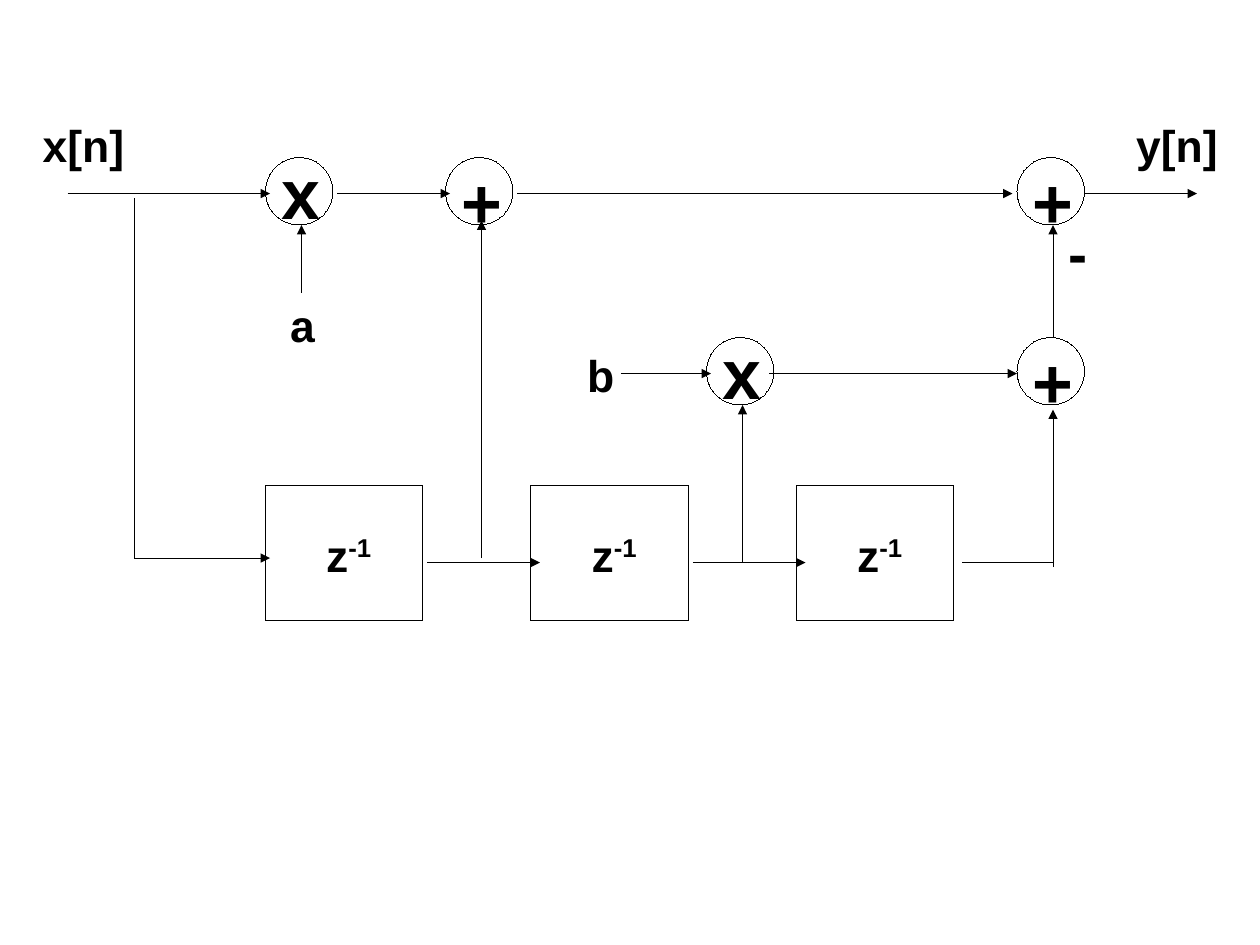
import dataclasses

import lxml.etree
import pptx
import pptx.dml.color
import pptx.enum.shapes
import pptx.enum.text
import pptx.oxml.ns
import pptx.util

PX = 36000
SHAPES = pptx.enum.shapes.MSO_SHAPE


@dataclasses.dataclass(frozen=True)
class Theme:
    ink: pptx.dml.color.RGBColor = pptx.dml.color.RGBColor(0, 0, 0)
    paper: pptx.dml.color.RGBColor = pptx.dml.color.RGBColor(255, 255, 255)
    font: str = "Arial"
    label_size: int = 28
    minus_size: int = 36
    operator_size: int = 44
    hairline: int = 0


THEME = Theme()
DELAY_LEFT, DELAY_STEP, DELAY_TOP = 59, 59, 108
DELAY_WIDTH, DELAY_HEIGHT = 35, 30
NODE_SIZE = 15
OPERATOR_RISE = {"+": 1, "x": 3}

OPERATORS = [
    ("x", 59, 35),
    ("+", 99, 35),
    ("+", 226, 35),
    ("x", 157, 75),
    ("+", 226, 75),
]
LABELS = [
    ("x[n]", 7, 25, 28),
    ("y[n]", 250, 25, 28),
    ("a", 62, 65, 20),
    ("b", 128, 76, 20),
]
ARROWS = [
    (15, 43, 60, 43),
    (75, 43, 100, 43),
    (115, 43, 225, 43),
    (241, 43, 266, 43),
    (67, 65, 67, 50),
    (107, 124, 107, 49),
    (138, 83, 158, 83),
    (171, 83, 226, 83),
    (165, 125, 165, 90),
    (234, 75, 234, 50),
    (234, 126, 234, 91),
    (30, 124, 60, 124),
    (95, 125, 120, 125),
    (154, 125, 179, 125),
]
PLAIN_LINES = [
    (30, 44, 30, 124),
    (214, 125, 234, 125),
]


def to_emu(*lengths):
    return [pptx.util.Emu(length * PX) for length in lengths]


def style_line(line):
    line.color.rgb = THEME.ink
    line._get_or_add_ln().set("w", str(THEME.hairline))


def add_outline(slide, kind, left, top, width, height):
    shape = slide.shapes.add_shape(kind, *to_emu(left, top, width, height))
    shape.shadow.inherit = False
    shape.fill.solid()
    shape.fill.fore_color.rgb = THEME.paper
    style_line(shape.line)


def add_label(slide, text, left, top, width, height=15, size=THEME.label_size):
    box = slide.shapes.add_textbox(*to_emu(left, top, width, height))
    frame = box.text_frame
    frame.word_wrap = True
    frame.auto_size = pptx.enum.text.MSO_AUTO_SIZE.SHAPE_TO_FIT_TEXT
    paragraph = frame.paragraphs[0]
    paragraph.add_run().text = text
    paragraph.font.name = THEME.font
    paragraph.font.size = pptx.util.Pt(size)
    paragraph.font.bold = True
    paragraph.font.color.rgb = THEME.ink
    return paragraph


def add_delay(slide, left):
    add_outline(slide, SHAPES.RECTANGLE, left, DELAY_TOP, DELAY_WIDTH, DELAY_HEIGHT)
    paragraph = add_label(slide, "z", left + 11, DELAY_TOP + 8, 20)
    exponent = paragraph.add_run()
    exponent.text = "-1"
    exponent._r.get_or_add_rPr().set("baseline", "33000")


def add_operator(slide, symbol, left, top):
    add_outline(slide, SHAPES.OVAL, left, top, NODE_SIZE, NODE_SIZE)
    add_label(slide, symbol, left + 1, top - OPERATOR_RISE[symbol],
              NODE_SIZE, 20, THEME.operator_size)


def add_line(slide, ends, arrow=False):
    connector = slide.shapes.add_connector(
        pptx.enum.shapes.MSO_CONNECTOR.STRAIGHT, *to_emu(*ends))
    style_line(connector.line)
    if arrow:
        tail = lxml.etree.SubElement(
            connector.line._get_or_add_ln(), pptx.oxml.ns.qn("a:tailEnd"))
        tail.set("type", "triangle")
    lxml.etree.SubElement(
        connector._element.spPr, pptx.oxml.ns.qn("a:effectLst"))


def main():
    presentation = pptx.Presentation()
    presentation.slide_width, presentation.slide_height = to_emu(280, 210)
    slide = presentation.slides.add_slide(presentation.slide_layouts[6])
    for index in range(3):
        add_delay(slide, DELAY_LEFT + index * DELAY_STEP)
    for operator in OPERATORS:
        add_operator(slide, *operator)
    for ends in ARROWS:
        add_line(slide, ends, arrow=True)
    for ends in PLAIN_LINES:
        add_line(slide, ends)
    for label in LABELS:
        add_label(slide, *label)
    add_label(slide, "-", 235, 47, 20, 17, THEME.minus_size)
    presentation.save("out.pptx")


if __name__ == "__main__":
    main()
